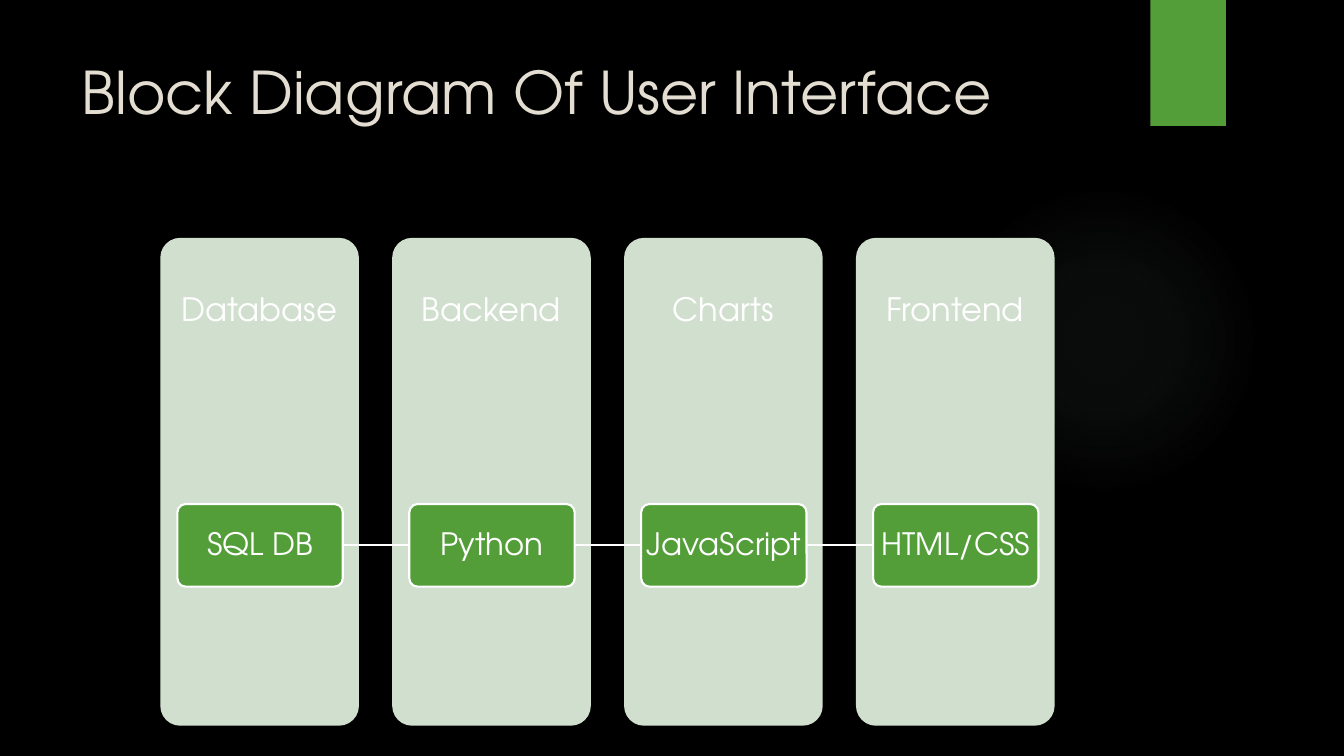
from dataclasses import dataclass

from pptx import Presentation
from pptx.dml.color import RGBColor
from pptx.enum.shapes import MSO_CONNECTOR, MSO_SHAPE
from pptx.enum.text import MSO_ANCHOR, PP_ALIGN
from pptx.oxml import parse_xml
from pptx.oxml.ns import nsdecls, qn
from pptx.oxml.xmlchemy import OxmlElement
from pptx.shapes.autoshape import Shape
from pptx.slide import Slide
from pptx.text.text import TextFrame
from pptx.util import Inches, Pt

RECTANGLE = MSO_SHAPE.RECTANGLE
ROUNDED = MSO_SHAPE.ROUNDED_RECTANGLE
OVAL = MSO_SHAPE.OVAL
STRAIGHT = MSO_CONNECTOR.STRAIGHT
TOP, MIDDLE = MSO_ANCHOR.TOP, MSO_ANCHOR.MIDDLE
LEFT, CENTER = PP_ALIGN.LEFT, PP_ALIGN.CENTER

FONT = "TeX Gyre Adventor"
BLACK, WHITE, CREAM = "000000", "FFFFFF", "E3DED1"
GREEN, PALE_GREEN, GLOW = "549E39", "D1DFCE", "87A896"
LINE_WIDTH = 1.5
COLUMN_PITCH = 2.3
RIGHT_SIDE, LEFT_SIDE = 3, 1


@dataclass(frozen=True)
class Box:
    left: float
    top: float
    width: float
    height: float

    def shifted(self, distance: float) -> "Box":
        return Box(self.left + distance, self.top, self.width, self.height)

    def lengths(self) -> tuple[int, int, int, int]:
        return (Inches(self.left), Inches(self.top),
                Inches(self.width), Inches(self.height))


@dataclass(frozen=True)
class Layer:
    heading: str
    technology: str


@dataclass(frozen=True)
class TextStyle:
    size: float
    color: str = WHITE
    alignment: PP_ALIGN = CENTER
    anchor: MSO_ANCHOR = MIDDLE
    line_spacing: float = 0.9
    side_inset: float = 0.02
    end_inset: float = 0.02
    wrap: bool = True


PANEL = Box(1.59, 2.36, 1.97, 4.84)
HEADING = Box(1.59, 2.36, 1.97, 1.45)
CARD = Box(1.76, 5, 1.64, 0.82)
LAYERS = [
    Layer("Database", "SQL DB"),
    Layer("Backend", "Python"),
    Layer("Charts", "JavaScript"),
    Layer("Frontend", "HTML/CSS"),
]
TITLE_STYLE = TextStyle(42, CREAM, LEFT, TOP, 1, 0.1, 0.05)
HEADING_STYLE = TextStyle(23, side_inset=0.18, end_inset=0.18)
CARD_STYLE = TextStyle(22, wrap=False)


def color(value: str) -> RGBColor:
    return RGBColor.from_string(value)


def write(frame: TextFrame, text: str, style: TextStyle) -> None:
    frame.text = text
    frame.word_wrap = style.wrap
    frame.vertical_anchor = style.anchor
    frame.margin_left = frame.margin_right = Inches(style.side_inset)
    frame.margin_top = frame.margin_bottom = Inches(style.end_inset)
    paragraph = frame.paragraphs[0]
    paragraph.alignment = style.alignment
    paragraph.line_spacing = style.line_spacing
    font = paragraph.runs[0].font
    font.name = FONT
    font.size = Pt(style.size)
    font.color.rgb = color(style.color)


def add_text(slide: Slide, box: Box, text: str, style: TextStyle) -> None:
    write(slide.shapes.add_textbox(*box.lengths()).text_frame, text, style)


def add_block(slide: Slide, kind: MSO_SHAPE, box: Box, fill: str,
              outline: str | None = None) -> Shape:
    shape = slide.shapes.add_shape(kind, *box.lengths())
    shape.shadow.inherit = False
    shape.fill.solid()
    shape.fill.fore_color.rgb = color(fill)
    if kind == ROUNDED:
        shape.adjustments[0] = 0.1
    if outline:
        shape.line.color.rgb = color(outline)
        shape.line.width = Pt(LINE_WIDTH)
    else:
        shape.line.fill.background()
    return shape


def add_glow(slide: Slide) -> None:
    shape = add_block(slide, OVAL, Box(9.41, 1.83, 3.08, 3.08), GLOW)
    stops = "".join(
        f'<a:gs pos="{position * 1000}"><a:srgbClr val="{GLOW}">'
        f'<a:alpha val="{opacity * 1000}"/></a:srgbClr></a:gs>'
        for position, opacity in ((0, 7), (36, 6), (69, 0), (100, 0))
    )
    gradient = parse_xml(
        f'<a:gradFill {nsdecls("a")}><a:gsLst>{stops}</a:gsLst>'
        '<a:path path="circle"><a:fillToRect l="50000" t="50000" '
        'r="50000" b="50000"/></a:path></a:gradFill>'
    )
    properties = shape._element.spPr
    properties.replace(properties.find(qn("a:solidFill")), gradient)


def join(slide: Slide, start: Shape, end: Shape) -> None:
    connector = slide.shapes.add_connector(STRAIGHT, 0, 0, 0, 0)
    connector.begin_connect(start, RIGHT_SIDE)
    connector.end_connect(end, LEFT_SIDE)
    connector.line.color.rgb = color(WHITE)
    connector.line.width = Pt(LINE_WIDTH)
    connector._element.spPr.append(OxmlElement("a:effectLst"))


def add_layer(slide: Slide, layer: Layer, distance: float) -> Shape:
    add_block(slide, ROUNDED, PANEL.shifted(distance), PALE_GREEN)
    add_text(slide, HEADING.shifted(distance), layer.heading, HEADING_STYLE)
    card = add_block(slide, ROUNDED, CARD.shifted(distance), GREEN, WHITE)
    write(card.text_frame, layer.technology, CARD_STYLE)
    return card


def main() -> None:
    presentation = Presentation()
    presentation.slide_width = Inches(13.33)
    presentation.slide_height = Inches(7.5)
    slide = presentation.slides.add_slide(presentation.slide_layouts[6])
    slide.background.fill.solid()
    slide.background.fill.fore_color.rgb = color(BLACK)

    add_glow(slide)
    add_block(slide, RECTANGLE, Box(11.41, 0, 0.75, 1.25), GREEN)
    add_text(slide, Box(0.71, 0.5, 10.29, 1.53),
             "Block Diagram Of User Interface", TITLE_STYLE)

    cards = [add_layer(slide, layer, index * COLUMN_PITCH)
             for index, layer in enumerate(LAYERS)]
    for start, end in zip(cards, cards[1:]):
        join(slide, start, end)

    presentation.save("out.pptx")


if __name__ == "__main__":
    main()
